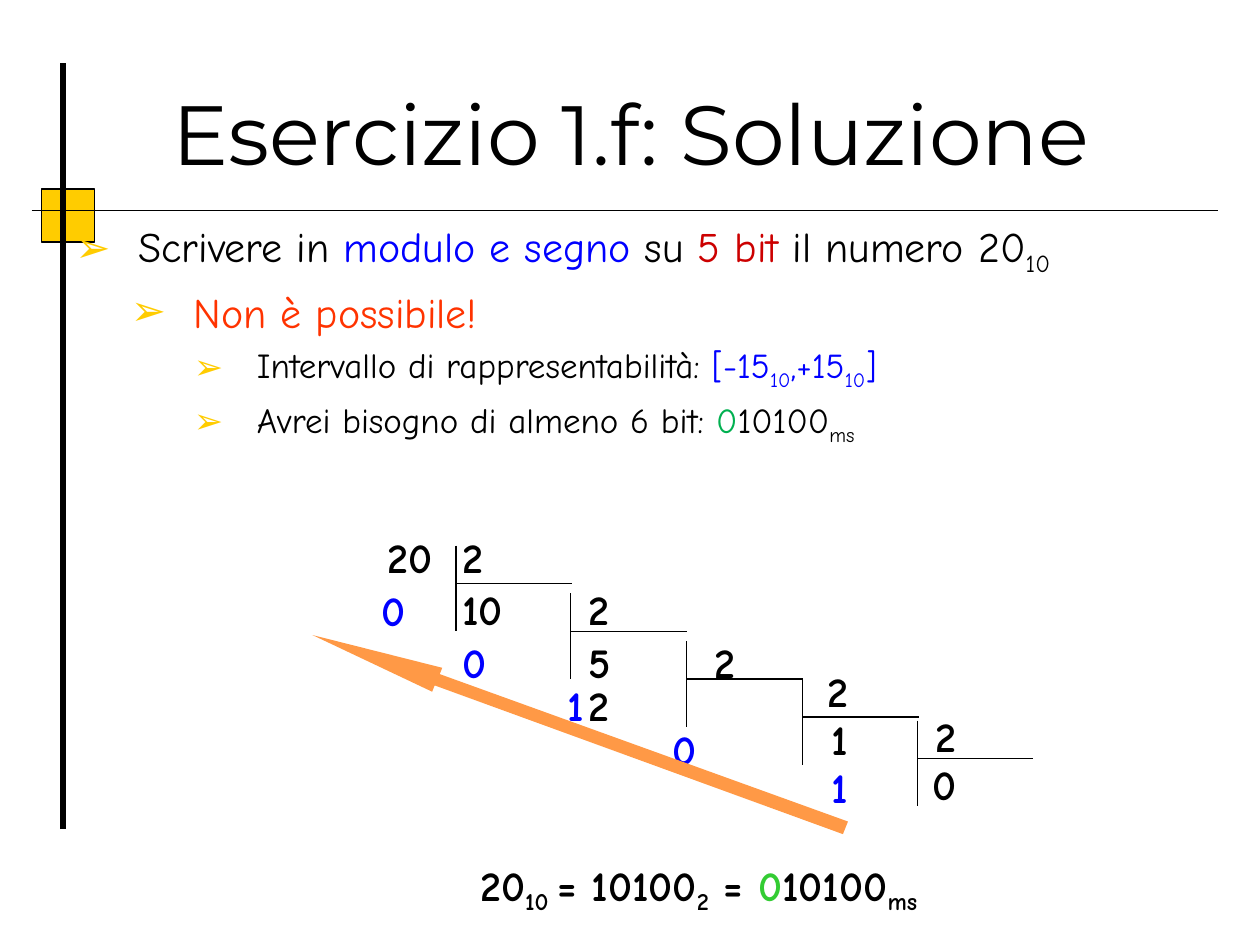
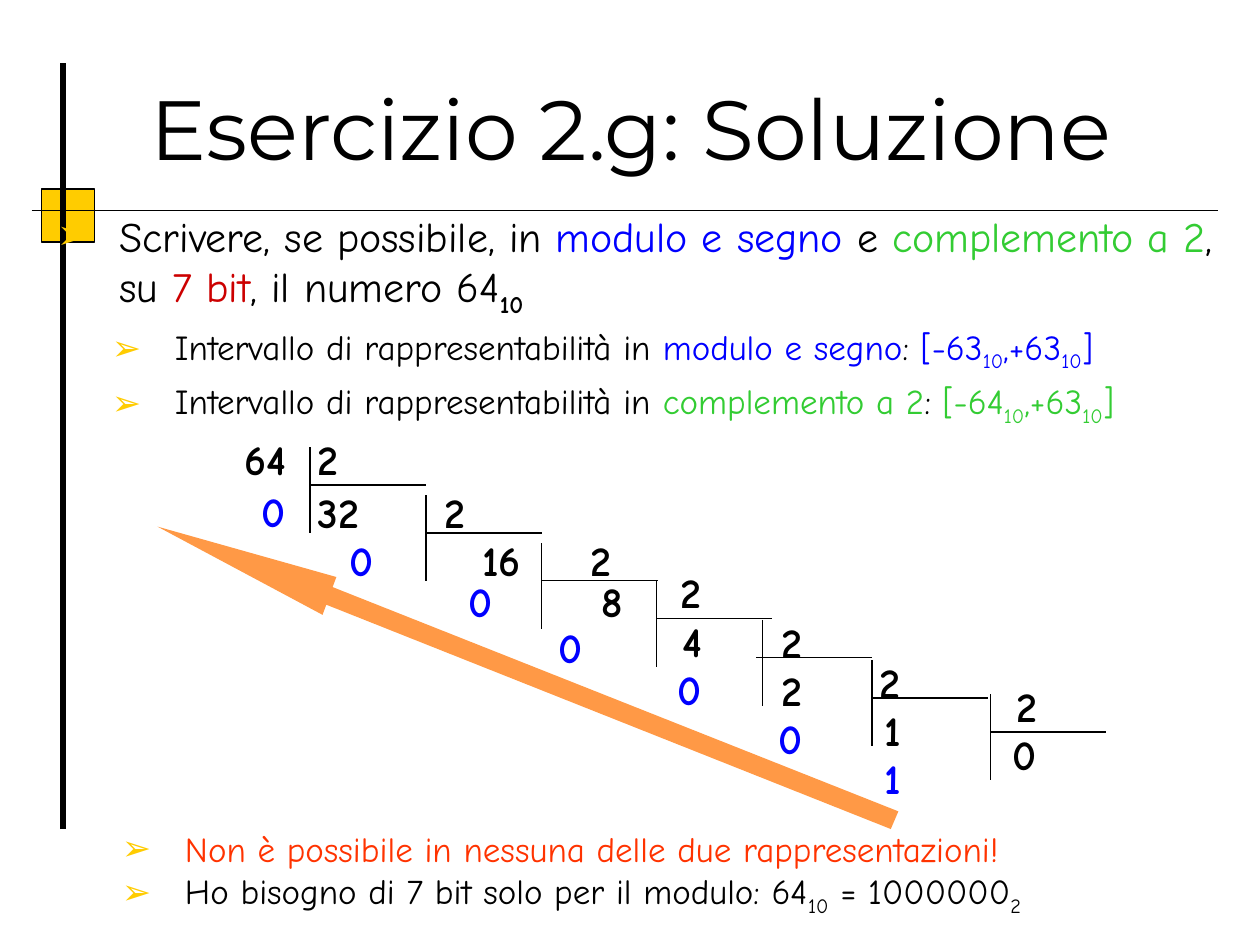
from dataclasses import dataclass
from typing import NamedTuple

from lxml.etree import SubElement
from pptx import Presentation
from pptx.dml.color import RGBColor
from pptx.enum.shapes import MSO_CONNECTOR, MSO_SHAPE
from pptx.enum.text import MSO_ANCHOR, PP_ALIGN
from pptx.oxml.ns import qn
from pptx.slide import Slide
from pptx.util import Inches, Pt

COLOURS = {
    "black": "000000",
    "blue": "0000FF",
    "red": "CC0000",
    "orange_red": "FF3300",
    "green": "33CC33",
    "dark_green": "00B050",
    "yellow": "FFCC00",
    "arrow": "FF9946",
}
TITLE_FONT = "Montserrat"
BODY_FONT = "Comic Neue"
BRACKET_HEIGHT = 0.68
BRACKET_WIDTH = 0.92
BRACKET_BAR_DROP = 0.3


class Box(NamedTuple):
    left: float
    top: float
    width: float
    height: float


class Run(NamedTuple):
    text: str
    colour: str = "black"
    baseline: int = 0
    bold: bool = False


class Bracket(NamedTuple):
    left: float
    top: float
    bar_shift: float = 0


class Digit(NamedTuple):
    text: str
    left: float
    colour: str = "black"


class LadderRow(NamedTuple):
    top: float
    digits: list[Digit]


@dataclass
class Line:
    runs: list[Run]
    size: int = 24
    font: str = BODY_FONT
    bold: bool = False
    align: PP_ALIGN = PP_ALIGN.LEFT
    margin: float = 0
    bullet: bool = False
    before: float = 0
    spacing: float | None = None


@dataclass
class Division:
    dividend: Box
    dividend_lines: list[Line]
    ladder: list[LadderRow]
    brackets: list[Bracket]
    stacks: list[tuple[float, float, str, str]]
    arrow: list[tuple[float, float]]


def rgb(name: str) -> RGBColor:
    return RGBColor.from_string(COLOURS[name])


def sub(text: str, colour: str = "black", baseline: int = -25, bold: bool = False) -> Run:
    return Run(text, colour, baseline, bold)


def interval(low: str, high: str, colour: str) -> list[Run]:
    return [Run(f"[{low}", colour), sub("10", colour), Run(f",{high}", colour),
            sub("10", colour), Run("]", colour)]


def bullet(runs: list[Run], size: int, margin: float, before: float = 0) -> Line:
    return Line(runs, size, margin=margin, bullet=True, before=before)


def bold_line(*runs: Run, **layout) -> Line:
    return Line(list(runs), bold=True, **layout)


def remainder(text: str) -> Run:
    return Run(text, "blue")


def draw_text(slide: Slide, box: Box, lines: list[Line], inset: bool = True,
              anchor: MSO_ANCHOR = MSO_ANCHOR.TOP) -> None:
    frame = slide.shapes.add_textbox(*map(Inches, box)).text_frame
    frame.word_wrap = True
    frame.vertical_anchor = anchor
    if not inset:
        frame.margin_left = frame.margin_right = frame.margin_top = frame.margin_bottom = 0
    for index, line in enumerate(lines):
        paragraph = frame.add_paragraph() if index else frame.paragraphs[0]
        paragraph.alignment = line.align
        if index and line.before:
            paragraph.space_before = Pt(line.before)
        if line.spacing:
            paragraph.line_spacing = Pt(line.spacing)
        properties = paragraph._p.get_or_add_pPr()
        properties.set("marL", str(Inches(line.margin)))
        properties.set("indent", str(Inches(-0.5 if line.bullet else 0)))
        if line.bullet:
            bullet_colour = SubElement(properties, qn("a:buClr"))
            SubElement(bullet_colour, qn("a:srgbClr"), val=COLOURS["yellow"])
            SubElement(properties, qn("a:buFont"), typeface=BODY_FONT)
            SubElement(properties, qn("a:buChar"), char="➢")
        paragraph.font.name = line.font
        paragraph.font.size = Pt(line.size)
        paragraph.font.bold = line.bold
        for part in line.runs:
            run = paragraph.add_run()
            run.text = part.text
            run.font.color.rgb = rgb(part.colour)
            if part.bold:
                run.font.bold = True
            if part.baseline:
                run._r.get_or_add_rPr().set("baseline", str(part.baseline * 1000))


def draw_line(slide: Slide, start: tuple[float, float], end: tuple[float, float],
              weight: float = 0.75) -> None:
    connector = slide.shapes.add_connector(
        MSO_CONNECTOR.STRAIGHT, *map(Inches, (*start, *end)))
    connector.line.color.rgb = rgb("black")
    connector.line.width = Pt(weight)
    SubElement(connector._element.spPr, qn("a:effectLst"))


def draw_frame(slide: Slide) -> None:
    square = slide.shapes.add_shape(
        MSO_SHAPE.RECTANGLE, *map(Inches, Box(0.33, 1.5, 0.42, 0.42)))
    square.shadow.inherit = False
    square.fill.solid()
    square.fill.fore_color.rgb = rgb("yellow")
    square.line.color.rgb = rgb("black")
    square.line.width = Pt(0.75)
    draw_line(slide, (0.5, 6.58), (0.5, 0.5), 3)
    draw_line(slide, (0.25, 1.67), (9.67, 1.67))


def draw_title(slide: Slide, text: str, top: float) -> None:
    title = Line([Run(text)], 48, TITLE_FONT, align=PP_ALIGN.CENTER)
    draw_text(slide, Box(0.44, top, 9.14, 1.25), [title], anchor=MSO_ANCHOR.BOTTOM)


def draw_arrow(slide: Slide, points: list[tuple[float, float]]) -> None:
    outline = [(Inches(x), Inches(y)) for x, y in points]
    builder = slide.shapes.build_freeform(*outline[0], scale=1.0)
    builder.add_line_segments(outline[1:], close=True)
    arrow = builder.convert_to_shape()
    arrow.shadow.inherit = False
    arrow.fill.solid()
    arrow.fill.fore_color.rgb = rgb("arrow")
    arrow.line.fill.background()


def draw_division(slide: Slide, division: Division) -> None:
    for left, top, bar_shift in division.brackets:
        bar_left, bar_top = left + bar_shift, top + BRACKET_BAR_DROP
        draw_line(slide, (left, top), (left, top + BRACKET_HEIGHT))
        draw_line(slide, (bar_left, bar_top), (bar_left + BRACKET_WIDTH, bar_top))
    draw_text(slide, division.dividend, division.dividend_lines, inset=False)
    for row in division.ladder:
        for digit in row.digits:
            draw_text(slide, Box(digit.left, row.top, 0.25 * len(digit.text), 0.4),
                      [bold_line(Run(digit.text, digit.colour))], inset=False)
    for left, top, quotient, rest in division.stacks:
        runs = [Run("2"), Run(quotient)] + ([remainder(rest)] if rest else [])
        lines = [bold_line(run, align=PP_ALIGN.RIGHT, before=1.2,
                           spacing=26.4 if index else None)
                 for index, run in enumerate(runs)]
        draw_text(slide, Box(left, top, 0.23, 1.57), lines, inset=False)
    draw_arrow(slide, division.arrow)


def build_exercise_1f(slide: Slide) -> None:
    draw_frame(slide)
    draw_text(slide, Box(0.5, 1.7, 8.94, 4.56), [
        bullet([Run("Scrivere in "), Run("modulo e segno ", "blue"), Run("su "),
                Run("5 bit ", "red"), Run("il numero 20"), sub("10")], 24, 0.5),
        bullet([Run("Non è possibile!", "orange_red")], 24, 0.94, 5),
        bullet([Run("Intervallo di rappresentabilità: "),
                *interval("-15", "+15", "blue")], 20, 1.44, 4),
        bullet([Run("Avrei bisogno di almeno 6 bit: "), Run("0", "dark_green"),
                Run("10100"), sub("ms")], 20, 1.44, 4),
    ])
    draw_title(slide, "Esercizio 1.f: Soluzione", 0.25)
    draw_division(slide, Division(
        dividend=Box(2.77, 4.22, 0.66, 0.82),
        dividend_lines=[bold_line(Run("20"), align=PP_ALIGN.RIGHT),
                        bold_line(remainder("0"), margin=0.26, before=1.2)],
        ladder=[
            LadderRow(4.22, [Digit("2", 3.67)]),
            LadderRow(4.63, [Digit("10", 3.67), Digit("2", 4.67)]),
            LadderRow(5.05, [Digit("0", 3.67, "blue"), Digit("5", 4.67), Digit("2", 5.67)]),
            LadderRow(5.39, [Digit("1", 4.5, "blue"), Digit("2", 4.67)]),
            LadderRow(5.74, [Digit("0", 5.34, "blue")]),
        ],
        brackets=[Bracket(3.62, 4.33), Bracket(4.53, 4.71), Bracket(5.45, 5.09),
                  Bracket(6.37, 5.39), Bracket(7.28, 5.72)],
        stacks=[(6.5, 5.28, "1", "1"), (7.36, 5.64, "0", "")],
        arrow=[(2.48, 5.04), (3.43, 5.49), (3.45, 5.44), (6.69, 6.62),
               (6.73, 6.52), (3.49, 5.35), (3.51, 5.3)],
    ))
    result = bold_line(Run("20"), sub("10 ", baseline=-21), Run("= 10100"),
                       sub("2", baseline=-21), Run(" = "), Run("0", "green"),
                       Run("10100"), sub("ms", baseline=-21), align=PP_ALIGN.RIGHT)
    draw_text(slide, Box(1.77, 6.82, 5.51, 0.67), [result], inset=False)


def build_exercise_2g(slide: Slide) -> None:
    draw_frame(slide)
    draw_title(slide, "Esercizio 2.g: Soluzione", 0.21)
    ranges = [("modulo e segno", "-63", "blue"), ("complemento a 2", "-64", "green")]
    draw_text(slide, Box(0.35, 1.62, 9.53, 4.65), [
        bullet([Run("Scrivere, se possibile, in "), Run("modulo e segno ", "blue"),
                Run("e "), Run("complemento a 2", "green"), Run(", su "),
                Run("7 bit", "red"), Run(", il numero 64"), sub("10", bold=True)], 24, 0.5),
        *(bullet([Run("Intervallo di rappresentabilità in "), Run(name, colour), Run(": "),
                  *interval(low, "+63", colour)], 20, 0.94, 4)
          for name, low, colour in ranges),
    ])
    draw_text(slide, Box(0.43, 6.52, 9.57, 0.77), [
        bullet([Run("Non è possibile in nessuna delle due rappresentazioni!",
                    "orange_red")], 20, 0.94),
        bullet([Run("Ho bisogno di 7 bit solo per il modulo: 64"), sub("10"),
                Run(" = 1000000"), sub("2")], 20, 0.94),
    ])
    draw_division(slide, Division(
        dividend=Box(1.61, 3.44, 0.66, 0.82),
        dividend_lines=[bold_line(Run("64"), align=PP_ALIGN.RIGHT),
                        bold_line(remainder("0"), align=PP_ALIGN.RIGHT, before=1.2)],
        ladder=[
            LadderRow(3.44, [Digit("2", 2.52)]),
            LadderRow(3.86, [Digit("32", 2.52), Digit("2", 3.53)]),
            LadderRow(4.24, [Digit("0", 2.77, "blue"), Digit("16", 3.83), Digit("2", 4.69)]),
            LadderRow(4.57, [Digit("0", 3.72, "blue"), Digit("8", 4.77)]),
            LadderRow(4.93, [Digit("0", 4.43, "blue")]),
        ],
        brackets=[Bracket(2.46, 3.55), Bracket(3.38, 3.93), Bracket(4.3, 4.31),
                  Bracket(5.21, 4.61), Bracket(6.05, 4.92, -0.05),
                  Bracket(6.92, 5.24), Bracket(7.86, 5.51)],
        stacks=[(5.34, 4.5, "4", "0"), (6.14, 4.89, "2", "0"),
                (6.92, 5.21, "1", "1"), (8, 5.4, "0", "")],
        arrow=[(1.25, 4.18), (2.56, 4.88), (2.59, 4.8), (7.07, 6.58),
               (7.13, 6.44), (2.64, 4.66), (2.67, 4.58)],
    ))


def main() -> None:
    presentation = Presentation()
    presentation.slide_width = Inches(10)
    presentation.slide_height = Inches(7.5)
    for build in (build_exercise_1f, build_exercise_2g):
        build(presentation.slides.add_slide(presentation.slide_layouts[6]))
    presentation.save("out.pptx")


if __name__ == "__main__":
    main()
